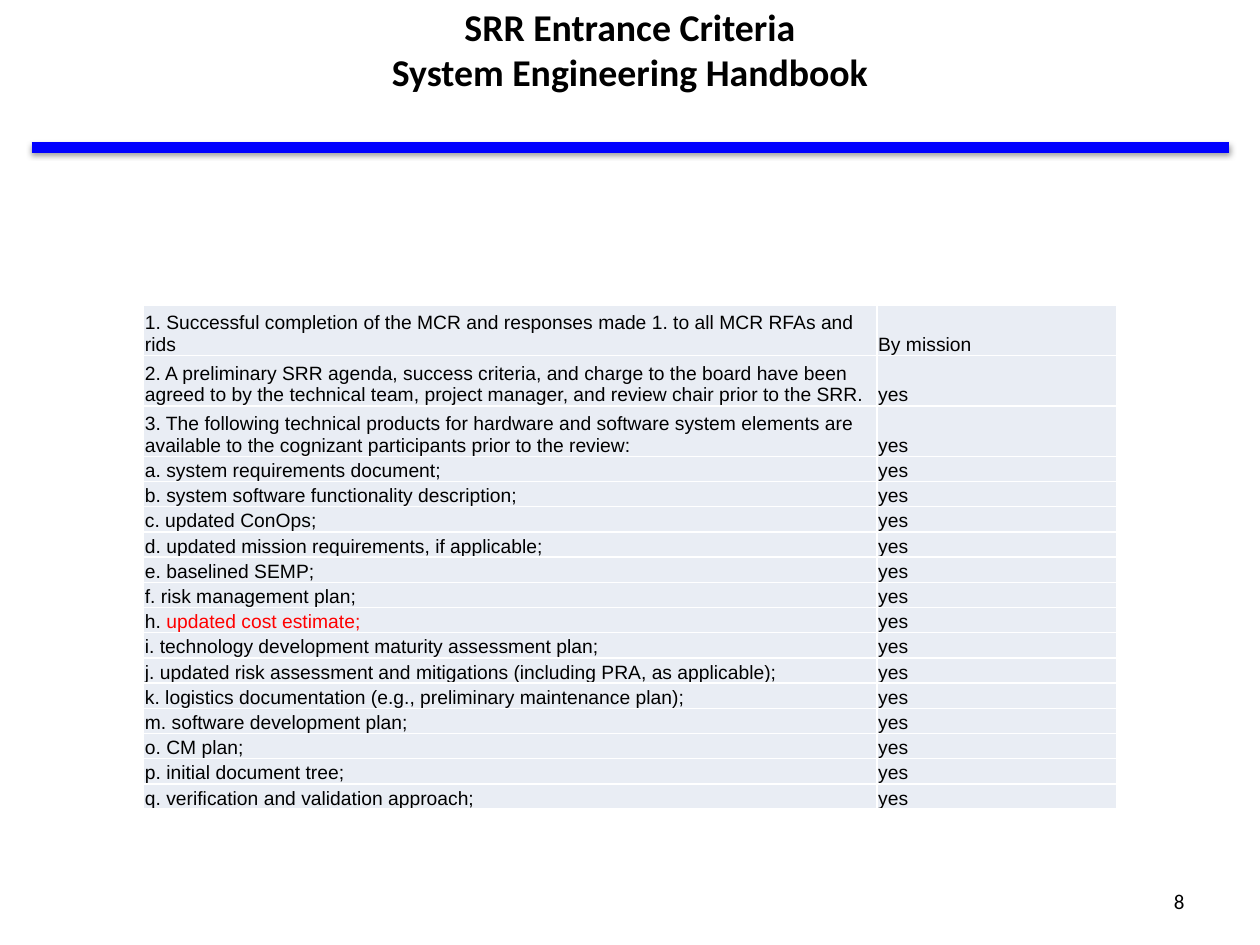
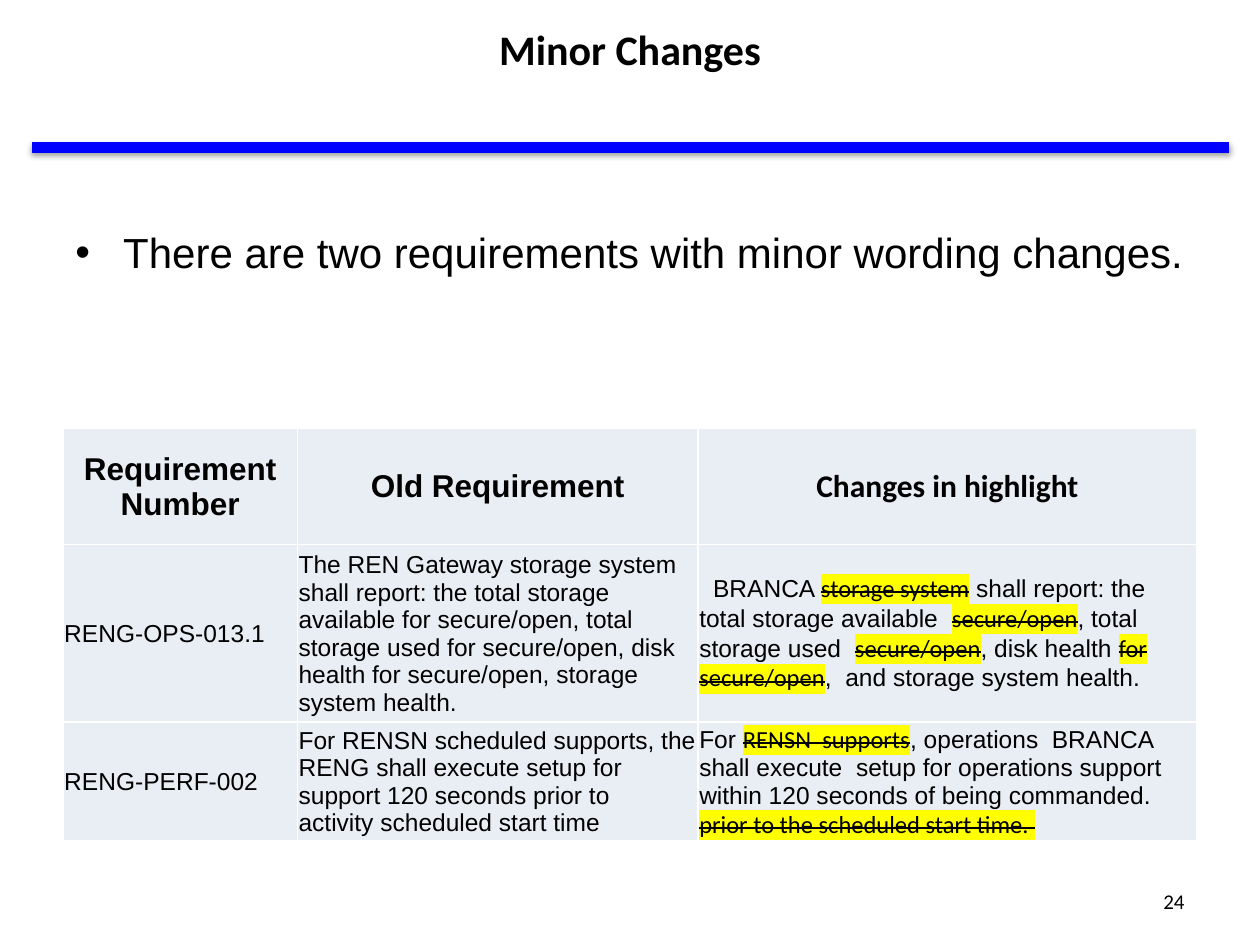
from collections import namedtuple

from lxml import etree
from pptx import Presentation
from pptx.dml.color import RGBColor
from pptx.enum.shapes import MSO_CONNECTOR as Connector
from pptx.enum.text import MSO_ANCHOR as Anchor, PP_ALIGN as Align
from pptx.oxml.ns import qn
from pptx.util import Inches, Pt

COLORS = {
    "text": "000000",
    "rule": "0000FF",
    "cell": "E9EDF4",
    "border": "FFFFFF",
    "alert": "FF0000",
    "highlight": "FFFF00",
}
HEADING_FONT, BODY_FONT = "Calibri", "Arial"

# Grid of 40 columns by 30 rows on a 10 x 7.5 inch slide
CELL = Inches(0.25)
COLUMNS, ROWS = 40, 30
Box = namedtuple("Box", "left top width height")

TITLE_BOX = Box(8.16, 0.36, 23.68, 2.36)
RULE_BOX = Box(1, 4.68, 38, 0)
NUMBER_BOX = Box(28.68, 27.8, 9.32, 1.6)
BODY_BOX = Box(2, 7, 36, 19.8)
CRITERIA_BOX = Box(4.56, 9.68, 30.88, 16.03)
CHANGES_BOX = Box(2, 13.6, 36, 12.6)

# "|" surrounds the words that carry a mark
CRITERIA = [
    "1. Successful completion of the MCR and responses made 1. to all MCR RFAs and rids",
    "2. A preliminary SRR agenda, success criteria, and charge to the board have been "
    "agreed to by the technical team, project manager, and review chair prior to the SRR.",
    "3. The following technical products for hardware and software system elements are "
    "available to the cognizant participants prior to the review:",
    "a. system requirements document;",
    "b. system software functionality description;",
    "c. updated ConOps;",
    "d. updated mission requirements, if applicable;",
    "e. baselined SEMP;",
    "f. risk management plan;",
    "h. |updated cost estimate;|",
    "i. technology development maturity assessment plan;",
    "j. updated risk assessment and mitigations (including PRA, as applicable);",
    "k. logistics documentation (e.g., preliminary maintenance plan);",
    "m. software development plan;",
    "o. CM plan;",
    "p. initial document tree;",
    "q. verification and validation approach;",
]
LONG_CRITERIA = 3

CHANGES = [
    ("Requirement Number", "Old Requirement", "Changes in highlight"),
    (
        "RENG-OPS-013.1",
        "The REN Gateway storage system shall report: the total storage available for "
        "secure/open, total storage used for secure/open, disk health for secure/open, "
        "storage system health.",
        "BRANCA |storage system| shall report: the total storage available  |secure/open|, "
        "total storage used  |secure/open|, disk health |for secure/open|,  and storage "
        "system health.",
    ),
    (
        "RENG-PERF-002",
        "For RENSN scheduled supports, the RENG shall execute setup for support 120 "
        "seconds prior to  activity scheduled start time",
        "For |RENSN  supports|, operations  BRANCA shall execute  setup for operations "
        "support within 120 seconds of being commanded. "
        "|prior to the scheduled start time. |",
    ),
]


def color(name):
    return RGBColor.from_string(COLORS[name])


def place(box):
    return [round(length * CELL) for length in box]


def share(total, weights):
    """Divide a length in proportion to the weights."""
    return [round(total * weight / sum(weights)) for weight in weights]


def add_color(parent, tag, name, alpha=None):
    element = etree.SubElement(parent, qn(tag))
    value = etree.SubElement(element, qn("a:srgbClr"), val=COLORS[name])
    if alpha:
        etree.SubElement(value, qn("a:alpha"), val=str(alpha))
    return element


def set_font(paragraph, size, name=BODY_FONT, bold=False):
    font = paragraph.font
    font.size, font.name, font.bold = Pt(size), name, bold
    font.color.rgb = color("text")
    # The paragraph mark takes the same size, so that it does not stretch the line
    mark = paragraph._p.find(qn("a:endParaRPr"))
    if mark is None:
        mark = etree.SubElement(paragraph._p, qn("a:endParaRPr"))
        etree.SubElement(mark, qn("a:latin"))
    mark.set("sz", str(round(size * 100)))
    mark.find(qn("a:latin")).set("typeface", name)


def add_text(slide, box, text, size, name, bold=False, align=Align.LEFT, anchor=Anchor.MIDDLE):
    frame = slide.shapes.add_textbox(*place(box)).text_frame
    frame.word_wrap = True
    frame.vertical_anchor = anchor
    paragraph = frame.paragraphs[0]
    paragraph.text = text
    paragraph.alignment = align
    set_font(paragraph, size, name, bold)
    return paragraph


# Shared frame: rule, title and page number
def add_rule(slide, box):
    left, top, width, height = place(box)
    rule = slide.shapes.add_connector(
        Connector.STRAIGHT, left, top, left + width, top + height)
    rule.line.color.rgb = color("rule")
    rule.line.width = Pt(6)
    effects = etree.SubElement(rule._element.spPr, qn("a:effectLst"))
    shadow = add_color(effects, "a:outerShdw", "text", alpha=38000)
    shadow.set("blurRad", str(Pt(3.1)))
    shadow.set("dist", str(Pt(1.6)))
    shadow.set("dir", "5400000")


def add_framed_slide(presentation, title, title_size, number):
    slide = presentation.slides.add_slide(presentation.slide_layouts[6])
    add_rule(slide, RULE_BOX)
    add_text(slide, TITLE_BOX, title, title_size, HEADING_FONT, True, Align.CENTER)
    add_text(slide, NUMBER_BOX, str(number), 12, HEADING_FONT, align=Align.RIGHT)
    return slide


# Tables
def mark_alert(run):
    run.font.color.rgb = color("alert")


def mark_deleted(run):
    run.font.name = HEADING_FONT
    run.font.color.rgb = color("text")
    properties = run._r.get_or_add_rPr()
    properties.set("strike", "sngStrike")
    highlight = add_color(properties, "a:highlight", "highlight")
    properties.find(qn("a:solidFill")).addnext(highlight)


def add_borders(cell):
    properties = cell._tc.get_or_add_tcPr()
    for position, side in enumerate(("a:lnL", "a:lnR", "a:lnT", "a:lnB")):
        border = etree.Element(qn(side), w=str(Pt(1)))
        add_color(border, "a:solidFill", "border")
        properties.insert(position, border)


def fill_cell(cell, text, size, anchor, mark):
    cell.fill.solid()
    cell.fill.fore_color.rgb = color("cell")
    add_borders(cell)
    cell.margin_left = cell.margin_right = cell.margin_top = Inches(0.01)
    cell.margin_bottom = 0
    cell.vertical_anchor = anchor
    paragraph = cell.text_frame.paragraphs[0]
    for index, piece in enumerate(text.split("|")):
        if piece:
            run = paragraph.add_run()
            run.text = piece
            if index % 2:
                mark(run)
    set_font(paragraph, size)


def add_grid(slide, box, rows, widths, heights, size, anchor, mark):
    left, top, width, height = place(box)
    table = slide.shapes.add_table(
        len(rows), len(widths), left, top, width, height).table
    table.first_row = table.horz_banding = False
    for column, column_width in zip(table.columns, share(width, widths)):
        column.width = column_width
    for row, row_height, texts in zip(table.rows, share(height, heights), rows):
        row.height = row_height
        for cell, text in zip(row.cells, texts):
            fill_cell(cell, text, size, anchor, mark)
    return table


# Slides
def build_criteria_slide(presentation):
    slide = add_framed_slide(
        presentation, "SRR Entrance Criteria\vSystem Engineering Handbook", 21.6, 8)
    answers = ["By mission"] + ["yes"] * (len(CRITERIA) - 1)
    heights = [2] * LONG_CRITERIA + [1] * (len(CRITERIA) - LONG_CRITERIA)
    add_grid(slide, CRITERIA_BOX, list(zip(CRITERIA, answers)), (5.82, 1.9), heights,
             11, Anchor.BOTTOM, mark_alert)


def build_changes_slide(presentation):
    slide = add_framed_slide(presentation, "Minor Changes", 24, 24)

    # Bulleted statement
    statement = add_text(
        slide, BODY_BOX, "There are two requirements with minor wording changes.",
        24, BODY_FONT, anchor=Anchor.TOP)
    properties = statement._p.get_or_add_pPr()
    properties.set("marL", str(Inches(0.38)))
    properties.set("indent", str(-Inches(0.38)))
    font_properties = properties.find(qn("a:defRPr"))
    font_properties.addprevious(etree.Element(qn("a:buFont"), typeface=BODY_FONT))
    font_properties.addprevious(etree.Element(qn("a:buChar"), char="•"))

    # Requirements before and after
    table = add_grid(slide, CHANGES_BOX, CHANGES, (1.86, 3.18, 3.96), (0.92, 1.32, 0.91),
                     14, Anchor.MIDDLE, mark_deleted)
    for cell, name in zip(table.rows[0].cells, (BODY_FONT, BODY_FONT, HEADING_FONT)):
        heading = cell.text_frame.paragraphs[0]
        heading.alignment = Align.CENTER
        set_font(heading, 18, name, True)
    first_change = table.cell(1, 2).text_frame.paragraphs[0]
    first_change._p.get_or_add_pPr().set("indent", str(Inches(0.11)))


def main():
    presentation = Presentation()
    presentation.slide_width = COLUMNS * CELL
    presentation.slide_height = ROWS * CELL
    build_criteria_slide(presentation)
    build_changes_slide(presentation)
    presentation.save("out.pptx")


if __name__ == "__main__":
    main()
